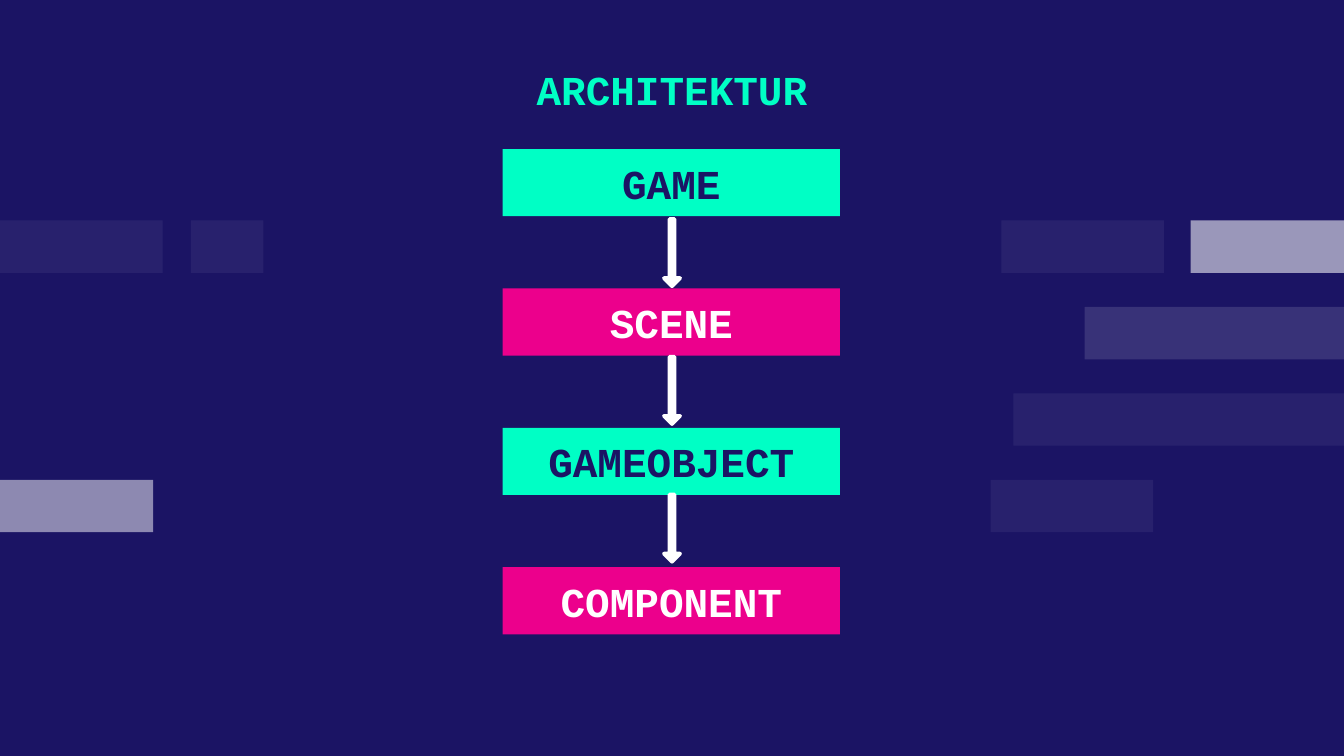
from dataclasses import dataclass

from lxml.etree import SubElement
from pptx import Presentation
from pptx.dml.color import RGBColor
from pptx.enum.shapes import MSO_SHAPE
from pptx.enum.text import MSO_ANCHOR, PP_ALIGN
from pptx.oxml.ns import qn
from pptx.shapes.autoshape import Shape
from pptx.slide import Slide
from pptx.util import Inches, Pt


@dataclass(frozen=True)
class Theme:
    navy: RGBColor = RGBColor(0x1B, 0x14, 0x64)
    mint: RGBColor = RGBColor(0x00, 0xFF, 0xC5)
    pink: RGBColor = RGBColor(0xEC, 0x00, 0x8C)
    white: RGBColor = RGBColor(0xFF, 0xFF, 0xFF)
    font: str = "Courier New"
    text_size: int = 22
    outline: int = 2


@dataclass(frozen=True)
class Area:
    left: float
    top: float
    width: float
    height: float

    def lengths(self) -> list[int]:
        return [Inches(value) for value in (self.left, self.top, self.width, self.height)]


@dataclass(frozen=True)
class Strip:
    left: float
    row: int
    width: float
    opacity: int


@dataclass(frozen=True)
class Layer:
    label: str
    fill: RGBColor
    color: RGBColor


def spread(first: float, last: float, count: int) -> list[float]:
    return [first + (last - first) * index / (count - 1) for index in range(count)]


THEME = Theme()
STRIP_HEIGHT = 0.39
STRIP_TOPS = spread(1.64, 3.57, 4)
LAYER_TOPS = spread(1.11, 4.22, 4)
ARROW_TOPS = spread(1.63, 3.68, 3)

STRIPS = [
    Strip(8.07, 1, 1.93, 13),
    Strip(7.45, 0, 1.21, 6),
    Strip(7.54, 2, 2.46, 6),
    Strip(8.86, 0, 1.14, 56),
    Strip(7.37, 3, 1.21, 6),
    Strip(0, 3, 1.14, 50),
    Strip(0, 0, 1.21, 6),
    Strip(1.42, 0, 0.54, 6),
]

LAYERS = [
    Layer("GAME", THEME.mint, THEME.navy),
    Layer("SCENE", THEME.pink, THEME.white),
    Layer("GAMEOBJECT", THEME.mint, THEME.navy),
    Layer("COMPONENT", THEME.pink, THEME.white),
]


def add_block(page: Slide, kind: MSO_SHAPE, area: Area, fill: RGBColor) -> Shape:
    block = page.shapes.add_shape(kind, *area.lengths())
    block.shadow.inherit = False
    block.fill.solid()
    block.fill.fore_color.rgb = fill
    block.line.fill.background()
    return block


def write_text(box: Shape, text: str, color: RGBColor, anchor: MSO_ANCHOR) -> None:
    frame = box.text_frame
    margins = {f"margin_{side}": Inches(0.1) for side in ("left", "top", "right", "bottom")}
    for name, value in {"word_wrap": True, "vertical_anchor": anchor, **margins}.items():
        setattr(frame, name, value)
    para = frame.paragraphs[0]
    para.alignment = PP_ALIGN.CENTER
    span = para.add_run()
    span.text = text
    span.font.color.rgb = color
    for name, value in {"name": THEME.font, "size": Pt(THEME.text_size), "bold": True}.items():
        setattr(span.font, name, value)


def add_strip(page: Slide, strip: Strip) -> None:
    area = Area(strip.left, STRIP_TOPS[strip.row], strip.width, STRIP_HEIGHT)
    block = add_block(page, MSO_SHAPE.RECTANGLE, area, THEME.white)
    color = block.fill._xPr.find(qn("a:solidFill"))[0]
    SubElement(color, qn("a:alpha"), val=str(strip.opacity * 1000))


def add_layer(page: Slide, layer: Layer, top: float) -> None:
    box = add_block(page, MSO_SHAPE.RECTANGLE, Area(3.74, top, 2.51, 0.5), layer.fill)
    write_text(box, layer.label, layer.color, MSO_ANCHOR.MIDDLE)


def add_arrow(page: Slide, top: float) -> None:
    arrow = add_block(page, MSO_SHAPE.DOWN_ARROW, Area(4.94, top, 0.12, 0.5), THEME.white)
    arrow.adjustments[0] = 0.32
    arrow.adjustments[1] = 0.5
    arrow.line.color.rgb = THEME.white
    arrow.line.width = Pt(THEME.outline)
    SubElement(arrow.line._get_or_add_ln(), qn("a:round"))


def main() -> None:
    deck = Presentation()
    deck.slide_width = Inches(10)
    deck.slide_height = Inches(10 * 9 / 16)
    page = deck.slides.add_slide(deck.slide_layouts[6])
    page.background.fill.solid()
    page.background.fill.fore_color.rgb = THEME.navy

    for strip in STRIPS:
        add_strip(page, strip)

    heading = page.shapes.add_textbox(*Area(1.4, 0.38, 7.2, 0.73).lengths())
    write_text(heading, "ARCHITEKTUR", THEME.mint, MSO_ANCHOR.TOP)

    for layer, top in zip(LAYERS, LAYER_TOPS):
        add_layer(page, layer, top)
    for top in ARROW_TOPS:
        add_arrow(page, top)

    deck.save("out.pptx")


if __name__ == "__main__":
    main()
